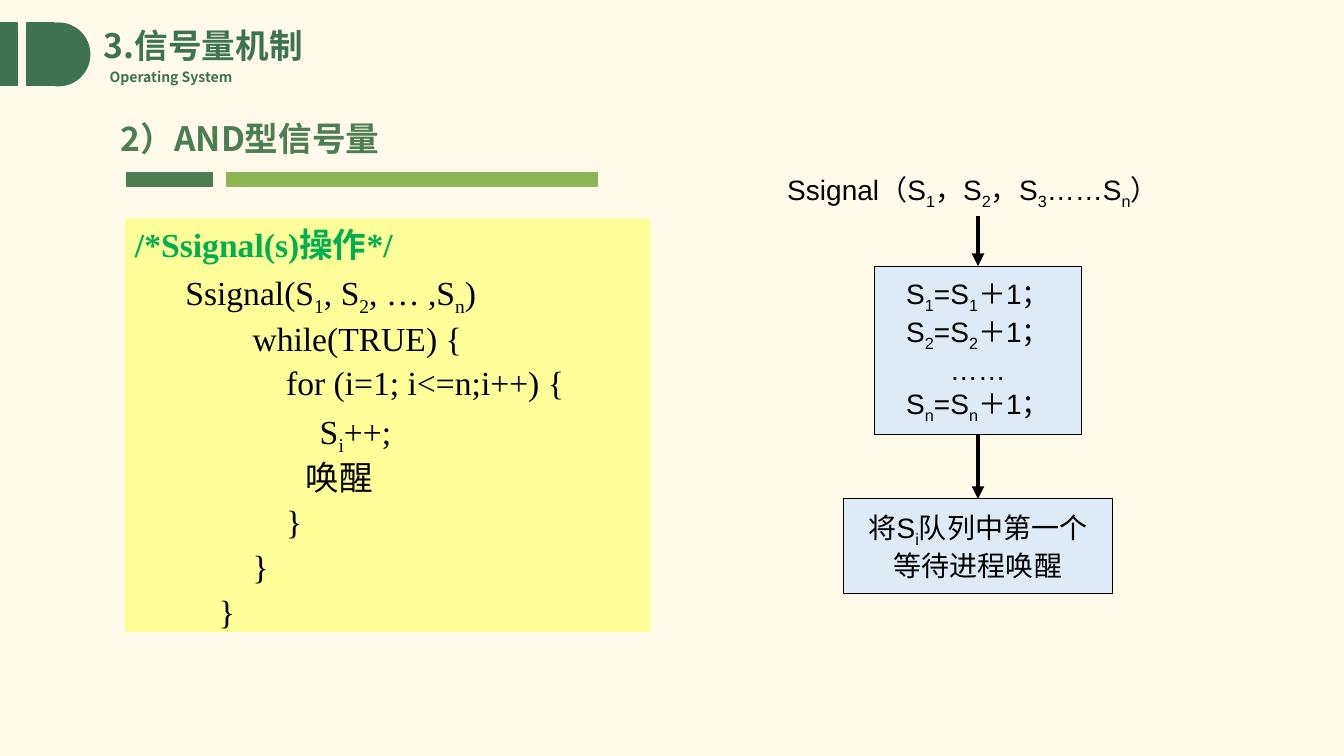
"""Build the slide on the AND-type semaphore signal operation."""
from lxml import etree
from pptx import Presentation, util as u
from pptx.dml.color import RGBColor
from pptx.enum import shapes, text
from pptx.oxml.ns import qn

PX = 9144
SANS, SERIF, ARIAL = "Noto Sans CJK SC", "Times New Roman", "Arial"
DARK, MOSS, LIME, BLACK = "3D7351", "4C7E51", "8EB453", "000000"
CREAM, YELLOW, BLUE, GREEN = "FFFAEA", "FFFF99", "DEEBF7", "00B050"
RECT, OVAL = shapes.MSO_SHAPE.RECTANGLE, shapes.MSO_SHAPE.OVAL

BLOCKS = [
    (RECT, (0, 23, 17, 62), DARK, DARK),
    (RECT, (27, 23, 27, 62), DARK, DARK),
    (OVAL, (27, 23, 62, 62), DARK, DARK),
    (RECT, (126, 171, 85, 14), MOSS, MOSS),
    (RECT, (225, 171, 367, 14), LIME, LIME),
]
TITLE = "3.信号量机制"
LABELS = [
    ((99, 63, 147, 27), "Operating System", SANS, 10, DARK, True),
    ((110, 112, 581, 50), "2）AND型信号量", SANS, 24, MOSS, True),
    ((771, 166, 397, 44), "Ssignal（S_1，S_2，S_3……S_n）", ARIAL, 20, BLACK, False),
]
NOTE = "/*Ssignal(s)操作*/"
CODE = [
    "Ssignal(S_1, S_2, … ,S_n)",
    "        while(TRUE) {",
    "            for (i=1; i<=n;i++) {",
    "                S_i++;",
    "                唤醒",
    "            }",
    "        }",
    "    }",
]
STEPS = [
    ((867, 264, 206, 167), ["S_1=S_1＋1；", "S_2=S_2＋1；", "……", "S_n=S_n＋1；"]),
    ((837, 495, 266, 94), ["将S_i队列中第一个", "等待进程唤醒"]),
]
START = (970, 214)


def rgb(code):
    return RGBColor.from_string(code)


def emu(box):
    return [n * PX for n in box]


def add_run(para, words, face, size, color, bold, sub=False):
    run = para.add_run()
    run.text = words
    font = run.font
    font.name, font.size, font.bold = face, u.Pt(size), bold
    font.color.rgb = rgb(color)
    props = run._r.get_or_add_rPr()
    etree.SubElement(props, qn("a:ea"), typeface=SANS)
    if sub:
        props.set("baseline", "-25000")


def write(para, line, *look):
    """Write a line in which an underscore lowers the next character."""
    head, *rest = line.split("_")
    if head:
        add_run(para, head, *look)
    for part in rest:
        add_run(para, part[0], *look, sub=True)
        if part[1:]:
            add_run(para, part[1:], *look)


def add_block(slide, kind, box, fill, edge=None, width=1):
    shape = slide.shapes.add_shape(kind, *emu(box))
    shape.shadow.inherit = False
    shape.fill.solid()
    shape.fill.fore_color.rgb = rgb(fill)
    if edge:
        shape.line.color.rgb = rgb(edge)
        shape.line.width = u.Pt(width)
    else:
        shape.line.fill.background()
    return shape


def add_arrow(slide, start, end):
    arrow = slide.shapes.add_connector(shapes.MSO_CONNECTOR.STRAIGHT, *emu(start + start))
    if not isinstance(end, tuple):
        arrow.end_connect(end, 0)
    arrow.line.color.rgb = rgb(BLACK)
    arrow.line.width = u.Pt(3)
    etree.SubElement(arrow.line._get_or_add_ln(), qn("a:tailEnd"), type="triangle")
    etree.SubElement(arrow._element.spPr, qn("a:effectLst"))
    return arrow


def add_code(slide):
    frame = add_block(slide, RECT, (124, 217, 521, 410), YELLOW).text_frame
    frame.vertical_anchor = text.MSO_ANCHOR.TOP
    frame.word_wrap = True
    para = frame.paragraphs[0]
    para.alignment = text.PP_ALIGN.LEFT
    write(para, NOTE, SERIF, 24, GREEN, True)
    for line in CODE:
        para = frame.add_paragraph()
        para.alignment = text.PP_ALIGN.LEFT
        para.line_spacing, para.space_before = 0.9, u.Pt(6)
        props = para._p.get_or_add_pPr()
        props.set("marL", str(81 * PX))
        props.set("indent", str(-31 * PX))
        write(para, line, SERIF, 24, BLACK, False)


def add_step(slide, box, lines):
    shape = add_block(slide, RECT, box, BLUE, BLACK, 0.75)
    frame = shape.text_frame
    frame.vertical_anchor = text.MSO_ANCHOR.MIDDLE
    frame.word_wrap = False
    for i, line in enumerate(lines):
        para = frame.add_paragraph() if i else frame.paragraphs[0]
        para.alignment = text.PP_ALIGN.CENTER
        write(para, line, ARIAL, 20, BLACK, False)
    return shape


def main():
    deck = Presentation()
    deck.slide_width, deck.slide_height = emu((1333, 750))
    slide = deck.slides.add_slide(deck.slide_layouts[5])
    slide.background.fill.solid()
    slide.background.fill.fore_color.rgb = rgb(CREAM)

    for block in BLOCKS:
        add_block(slide, *block)

    title = slide.shapes.title
    title.left, title.top, title.width, title.height = emu((93, 22, 434, 50))
    title.text_frame.vertical_anchor = text.MSO_ANCHOR.MIDDLE
    para = title.text_frame.paragraphs[0]
    para.alignment, para.line_spacing = text.PP_ALIGN.LEFT, 0.9
    write(para, TITLE, SANS, 24, DARK, True)

    for box, line, *look in LABELS:
        frame = slide.shapes.add_textbox(*emu(box)).text_frame
        frame.word_wrap = True
        write(frame.paragraphs[0], line, *look)

    add_code(slide)
    first, last = [add_step(slide, *step) for step in STEPS]
    add_arrow(slide, START, first)
    add_arrow(slide, START, last).begin_connect(first, 2)
    deck.save("out.pptx")


if __name__ == "__main__":
    main()
